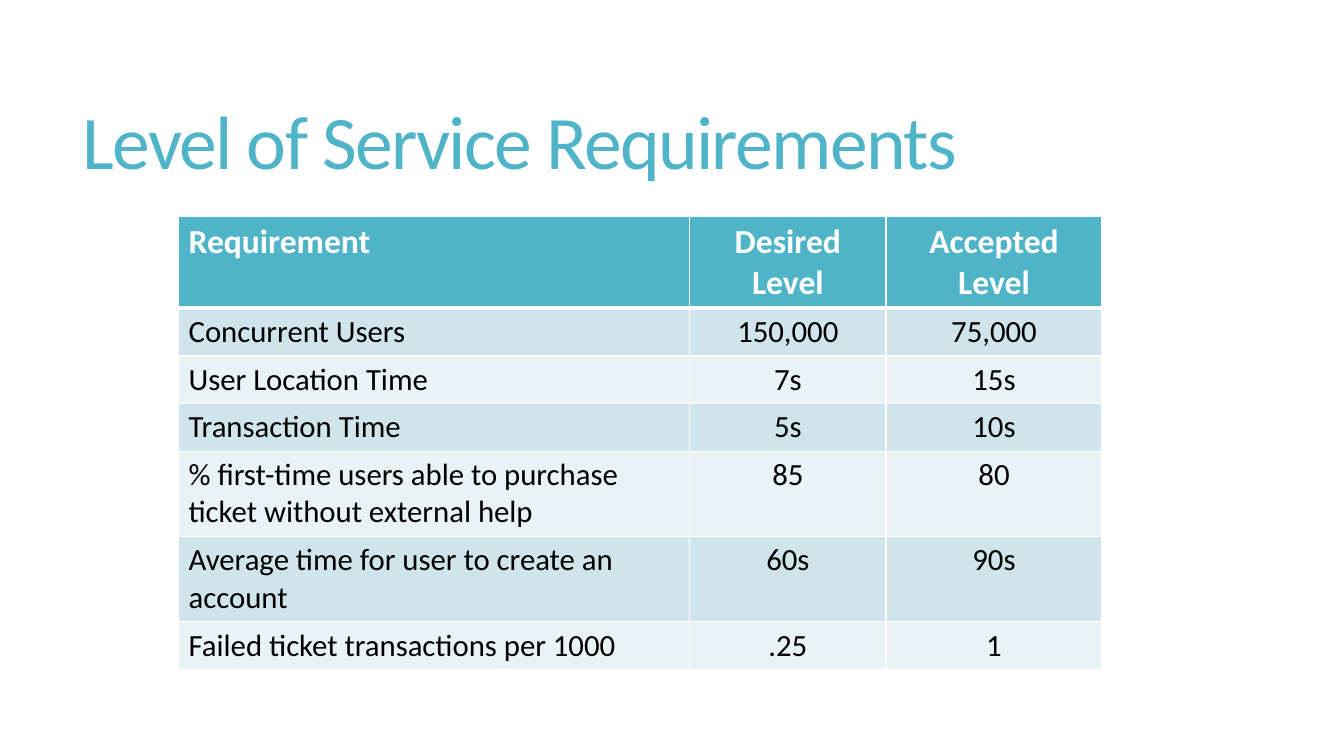
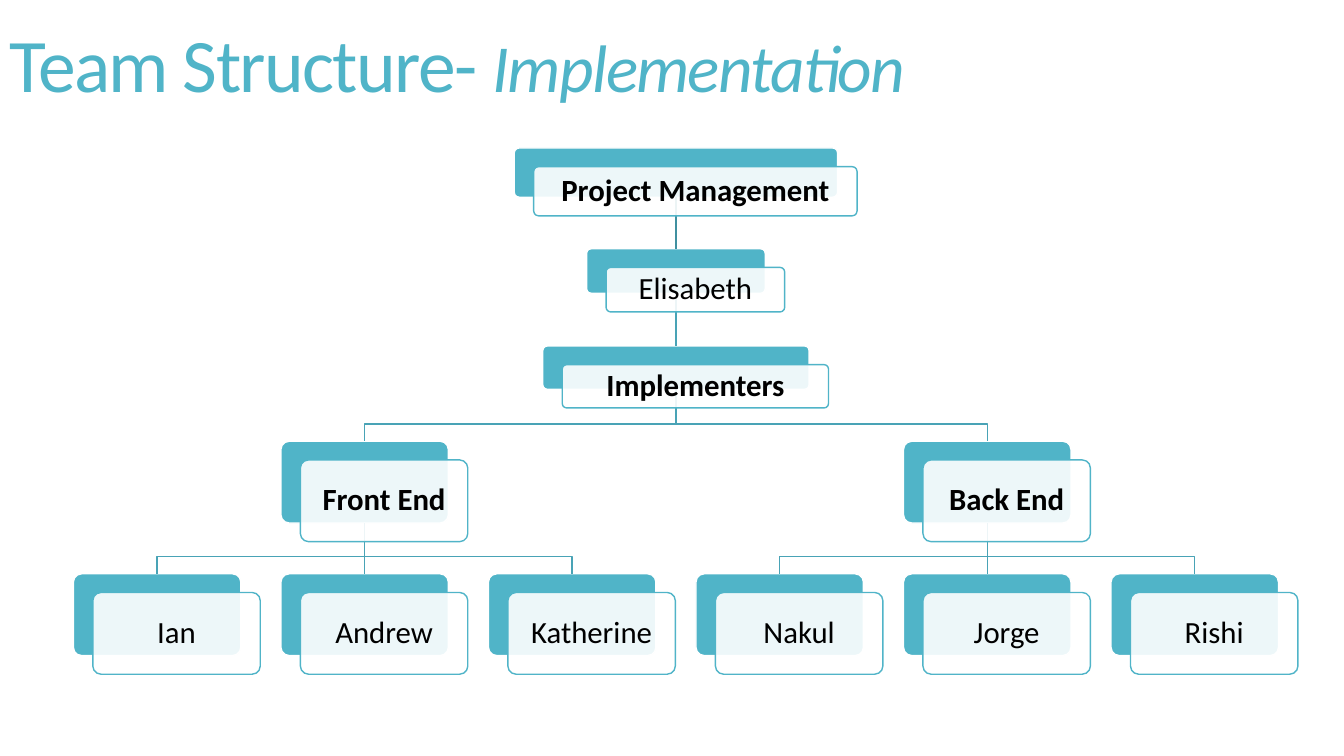
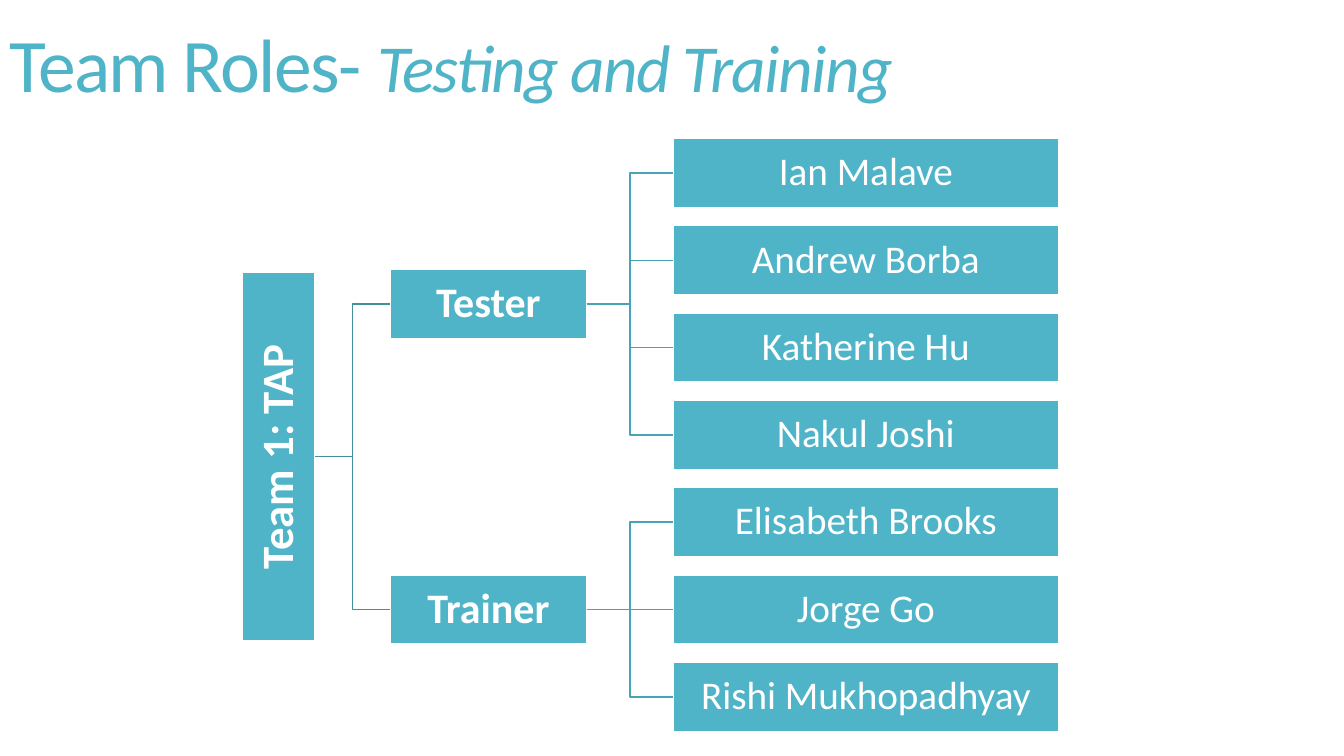
from lxml.etree import SubElement
from pptx import Presentation
from pptx.dml.color import RGBColor
from pptx.enum.shapes import MSO_CONNECTOR, MSO_SHAPE
from pptx.enum.text import MSO_ANCHOR, PP_ALIGN
from pptx.oxml.ns import qn
from pptx.util import Cm, Pt

FONT = "Calibri"
TEAL = "50B4C8"
ROOT_LINK = "4090A0"
LINK = "49A3B6"
WHITE = "FFFFFF"
BLACK = "000000"
BANDS = ("E9F2F5", "D0E5EB")

REQUIREMENTS = [
    ("Requirement", "Desired\nLevel", "Accepted Level"),
    ("Concurrent Users", "150,000", "75,000"),
    ("User Location Time", "7s", "15s"),
    ("Transaction Time", "5s", "10s"),
    ("% first-time users able to purchase ticket without external help", "85", "80"),
    ("Average time for user to create an account", "60s", "90s"),
    ("Failed ticket transactions per 1000", ".25", "1"),
]
COLUMN_WIDTHS = (12.88, 4.95, 5.44)
ROW_HEIGHTS = (2.31, 1.2, 1.2, 1.2, 2.15, 2.15, 1.2)

LEVELS = [(3.73, 1.24), (6.27, 1.12), (8.72, 1.09), (11.12, 2.06), (14.46, 2.06)]
MEMBER_WIDTH = 4.22
MEMBER_STEP = 5.23
FIRST_MEMBER_CENTER = 3.96
STRUCTURE = [
    ("Project Management", None, 0, 2.5, 8.15, True),
    ("Elisabeth", "Project Management", 1, 2.5, 4.5, False),
    ("Implementers", "Elisabeth", 2, 2.5, 6.71, True),
    ("Front End", "Implementers", 3, 1, MEMBER_WIDTH, True),
    ("Back End", "Implementers", 3, 4, MEMBER_WIDTH, True),
]
MEMBERS = ("Ian", "Andrew", "Katherine", "Nakul", "Jorge", "Rishi")
STRUCTURE += [
    (name, "Front End" if column < 3 else "Back End", 4, column, MEMBER_WIDTH, False)
    for column, name in enumerate(MEMBERS)
]

ROLES = {
    "Tester": ("Ian Malave", "Andrew Borba", "Katherine Hu", "Nakul Joshi"),
    "Trainer": ("Elisabeth Brooks", "Jorge Go", "Rishi Mukhopadhyay"),
}
ROLE_HEIGHT = 1.74
PERSON_STEP = 2.2
FIRST_PERSON_CENTER = 4.36


def rgb(color):
    return RGBColor.from_string(color)


def write(frame, text, size=22, color=BLACK, bold=False, italic=False,
          align=PP_ALIGN.CENTER, spacing=None, tracking=None):
    for index, line in enumerate(text.split("\n")):
        paragraph = frame.add_paragraph() if index else frame.paragraphs[-1]
        paragraph.alignment = align
        paragraph.line_spacing = spacing
        run = paragraph.add_run()
        run.text = line
        run.font.name = FONT
        run.font.size = Pt(size)
        run.font.bold = bold
        run.font.italic = italic
        run.font.color.rgb = rgb(color)
        if tracking:
            run._r.get_or_add_rPr().set("spc", str(int(tracking * 100)))


def add_title(slide, text, subtitle="", left=0, top=0, height=3.48):
    title = slide.shapes.add_textbox(Cm(left), Cm(top), Cm(29.92), Cm(height))
    frame = title.text_frame
    frame.word_wrap = True
    frame.vertical_anchor = MSO_ANCHOR.MIDDLE
    style = dict(color=TEAL, align=PP_ALIGN.LEFT, spacing=0.85, tracking=-1.2)
    write(frame, text, size=54, **style)
    if subtitle:
        write(frame, subtitle, size=48, italic=True, **style)


def add_box(slide, kind, center, middle, width, height, fill=TEAL, outline=WHITE):
    box = slide.shapes.add_shape(
        kind, Cm(center - width / 2), Cm(middle - height / 2), Cm(width), Cm(height))
    box.shadow.inherit = False
    box.fill.solid()
    box.fill.fore_color.rgb = rgb(fill)
    box.line.color.rgb = rgb(outline)
    box.line.width = Pt(1)
    if kind == MSO_SHAPE.ROUNDED_RECTANGLE:
        box.adjustments[0] = 0.1
    return box


def label(box, text, margin, **style):
    frame = box.text_frame
    frame.word_wrap = True
    frame.vertical_anchor = MSO_ANCHOR.MIDDLE
    frame.margin_left = frame.margin_right = Cm(margin)
    frame.margin_top = frame.margin_bottom = 0
    write(frame, text, spacing=0.9, **style)


def set_opacity(box, percent):
    color = box._element.spPr.find(qn("a:solidFill"))[0]
    SubElement(color, qn("a:alpha")).set("val", str(percent * 1000))


def add_link(slide, start, start_side, end, end_side, color, kind=MSO_CONNECTOR.STRAIGHT):
    link = slide.shapes.add_connector(kind, 0, 0, 0, 0)
    link.begin_connect(start, start_side)
    link.end_connect(end, end_side)
    link.line.color.rgb = rgb(color)
    link.line.width = Pt(1)
    SubElement(link._element.spPr, qn("a:effectLst"))


def add_branch(slide, parent, child):
    start_x = parent.left + parent.width // 2
    end_x = child.left + child.width // 2
    bend_y = child.top - Cm(0.43)
    outline = slide.shapes.build_freeform(start_x, parent.top + parent.height)
    outline.add_line_segments(
        [(start_x, bend_y), (end_x, bend_y), (end_x, child.top)], close=False)
    branch = outline.convert_to_shape()
    branch.shadow.inherit = False
    branch.fill.background()
    branch.line.color.rgb = rgb(LINK)
    branch.line.width = Pt(1)


def set_borders(cell, top, bottom):
    properties = cell._tc.get_or_add_tcPr()
    for side, width in (("L", 1), ("R", 1), ("T", top), ("B", bottom)):
        border = SubElement(properties, qn(f"a:ln{side}"))
        border.set("w", str(Pt(width)))
        fill = SubElement(border, qn("a:solidFill"))
        SubElement(fill, qn("a:srgbClr")).set("val", WHITE)


def build_requirements(slide):
    add_title(slide, "Level of Service Requirements", left=1.83, top=1.4, height=4.6)
    table = slide.shapes.add_table(
        len(REQUIREMENTS), len(COLUMN_WIDTHS), Cm(4.5), Cm(5.46),
        Cm(sum(COLUMN_WIDTHS)), Cm(sum(ROW_HEIGHTS))).table
    for column, width in zip(table.columns, COLUMN_WIDTHS):
        column.width = Cm(width)
    for row, height in zip(table.rows, ROW_HEIGHTS):
        row.height = Cm(height)
    for r, requirement in enumerate(REQUIREMENTS):
        header = r == 0
        for c, value in enumerate(requirement):
            cell = table.cell(r, c)
            set_borders(cell, top=3 if r == 1 else 1, bottom=3 if header else 1)
            cell.fill.solid()
            cell.fill.fore_color.rgb = rgb(TEAL if header else BANDS[r % 2])
            write(cell.text_frame, value, size=24 if header else 22,
                  color=WHITE if header else BLACK, bold=header,
                  align=PP_ALIGN.CENTER if c else PP_ALIGN.LEFT)


def build_structure(slide):
    add_title(slide, "Team Structure- ", "Implementation")
    rounded = MSO_SHAPE.ROUNDED_RECTANGLE
    places = {}
    backs = {}
    for name, _, level, column, width, _ in STRUCTURE:
        top, height = LEVELS[level]
        center = FIRST_MEMBER_CENTER + column * MEMBER_STEP
        places[name] = (center, top + height / 2, width, height)
        backs[name] = add_box(slide, rounded, *places[name])
    for name, parent, level, *_ in STRUCTURE:
        if parent is None:
            continue
        if places[parent][0] == places[name][0]:
            color = ROOT_LINK if level == 1 else LINK
            add_link(slide, backs[parent], 2, backs[name], 0, color)
        else:
            add_branch(slide, backs[parent], backs[name])
    for name, *_, bold in STRUCTURE:
        center, middle, width, height = places[name]
        card = add_box(slide, rounded, center + 0.49, middle + 0.47, width, height,
                       fill=WHITE, outline=TEAL)
        set_opacity(card, 90)
        label(card, name, margin=0.25, bold=bold)


def build_roles(slide):
    add_title(slide, "Team Roles- ", "Testing and Training")
    rectangle = MSO_SHAPE.RECTANGLE
    role_middles = []
    role_boxes = []
    next_middle = FIRST_PERSON_CENTER
    for role, people in ROLES.items():
        middles = [next_middle + i * PERSON_STEP for i in range(len(people))]
        next_middle = middles[-1] + PERSON_STEP
        role_middle = (middles[0] + middles[-1]) / 2
        role_box = add_box(slide, rectangle, 12.31, role_middle, 4.95, ROLE_HEIGHT)
        label(role_box, role, margin=0.05, size=30, color=WHITE, bold=True)
        for person, middle in zip(people, middles):
            person_box = add_box(slide, rectangle, 21.82, middle, 9.7, ROLE_HEIGHT)
            label(person_box, person, margin=0.05, size=28, color=WHITE)
            level = abs(middle - role_middle) < 0.01
            kind = MSO_CONNECTOR.STRAIGHT if level else MSO_CONNECTOR.ELBOW
            add_link(slide, role_box, 3, person_box, 1, LINK, kind)
        role_middles.append(role_middle)
        role_boxes.append(role_box)
    team = add_box(slide, rectangle, 7.02, sum(role_middles) / len(role_middles), 1.83, 9.27)
    label(team, "Team 1: TAP", margin=0.05, size=32, color=WHITE, bold=True)
    team.text_frame._txBody.bodyPr.set("vert", "vert270")
    for role_box in role_boxes:
        add_link(slide, team, 3, role_box, 1, ROOT_LINK, MSO_CONNECTOR.ELBOW)


def main():
    deck = Presentation()
    deck.slide_width = Cm(33.87)
    deck.slide_height = Cm(19.05)
    for build in (build_requirements, build_structure, build_roles):
        build(deck.slides.add_slide(deck.slide_layouts[6]))
    deck.save("out.pptx")


if __name__ == "__main__":
    main()
